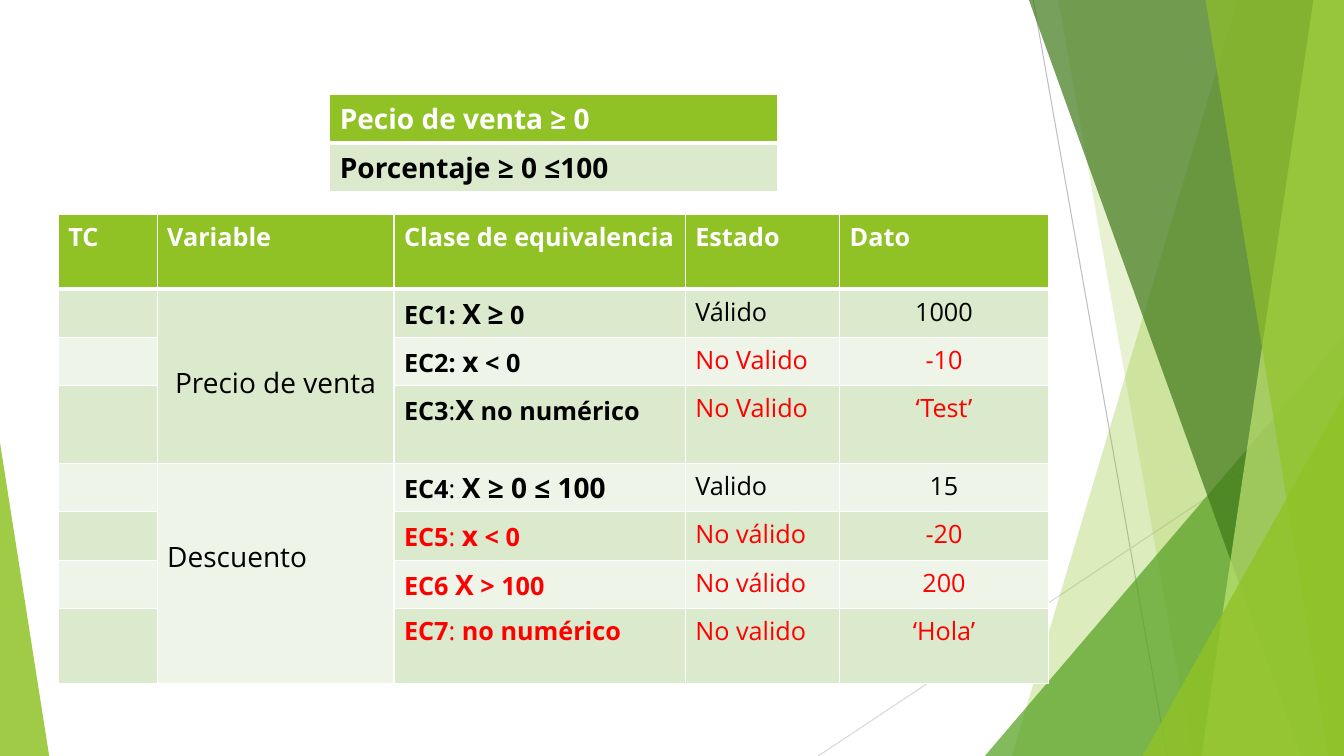
from lxml import etree
from pptx import Presentation
from pptx.dml.color import RGBColor
from pptx.enum import shapes, text
from pptx.oxml import ns
from pptx.util import Cm, Pt

WIDTH, HEIGHT = 33.87, 19.05
FONT = "Open Sans"
WHITE = RGBColor(0xFF, 0xFF, 0xFF)
BLACK = RGBColor(0x00, 0x00, 0x00)
RED = RGBColor(0xFF, 0x00, 0x00)
LIME = RGBColor(0x90, 0xC2, 0x26)
GREEN = RGBColor(0x54, 0xA0, 0x21)
DARK_GREEN = RGBColor(0x3F, 0x78, 0x19)
PALE_LIME = RGBColor(0xC0, 0xE4, 0x74)
BAND_DARK = RGBColor(0xDB, 0xE9, 0xCD)
BAND_LIGHT = RGBColor(0xEE, 0xF4, 0xE8)
GREY = RGBColor(0xBF, 0xBF, 0xBF)
LIGHT_GREY = RGBColor(0xD9, 0xD9, 0xD9)

HEADERS = ["TC", "Variable", "Clase de equivalencia", "Estado", "Dato"]
COLUMNS = [2.49, 5.97, 7.34, 3.89, 5.26]
ROWS = [1.88, 1.21, 1.21, 1.96, 1.21, 1.21, 1.21, 1.9]
CASES = [
    ([("EC1: ", 18, True), ("X", 20, True), (" ", 18, False), ("≥", 20, True), (" 0", 18, True)],
     BLACK, "Válido", BLACK, "1000"),
    ([("EC2: ", 18, True), ("x", 20, True), (" ", 18, False), ("< 0", 18, True)],
     BLACK, "No Valido", RED, "-10"),
    ([("EC3", 18, True), (":", 18, False), ("X", 20, True), (" ", 18, False),
      ("no numérico", 18, True)], BLACK, "No Valido", RED, "‘Test’"),
    ([("EC4", 18, True), (": ", 18, False), ("X ≥ 0 ≤ 100", 20, True)],
     BLACK, "Valido", BLACK, "15"),
    ([("EC5", 18, True), (": ", 18, False), ("x", 20, True), (" ", 18, False),
      ("< 0", 18, True)], RED, "No válido", RED, "-20"),
    ([("EC6 ", 18, True), ("X", 20, True), (" ", 18, False), ("> 100", 18, True)],
     RED, "No válido", RED, "200"),
    ([("EC7", 18, True), (": ", 18, False), ("no numérico", 18, True)],
     RED, "No valido", RED, "‘Hola’"),
]
VARIABLES = [
    ("Precio de venta", 1, 3, text.PP_ALIGN.CENTER),
    ("Descuento", 4, 7, text.PP_ALIGN.LEFT),
]


def paint(shape, color, opacity):
    shape.shadow.inherit = False
    shape.line.fill.background()
    shape.fill.solid()
    shape.fill.fore_color.rgb = color
    tint = shape.fill._xPr.find(ns.qn("a:solidFill"))[0]
    etree.SubElement(tint, ns.qn("a:alpha")).set("val", str(opacity * 1000))


def add_band(page, top_x, bottom_x, color, opacity):
    builder = page.shapes.build_freeform(Cm(top_x), 0)
    corners = [(WIDTH, 0), (WIDTH, HEIGHT), (bottom_x, HEIGHT)]
    builder.add_line_segments([(Cm(x), Cm(y)) for x, y in corners], close=True)
    paint(builder.convert_to_shape(), color, opacity)


def add_triangle(page, left, top, width, apex, color, opacity):
    triangle = page.shapes.add_shape(shapes.MSO_SHAPE.ISOSCELES_TRIANGLE, Cm(left), Cm(top),
                                     Cm(width), Cm(HEIGHT - top))
    triangle.adjustments[0] = apex
    paint(triangle, color, opacity)


def add_line(page, x1, y1, x2, y2, color):
    line = page.shapes.add_connector(shapes.MSO_CONNECTOR.STRAIGHT,
                                     Cm(x1), Cm(y1), Cm(x2), Cm(y2))
    line.line.color.rgb = color
    line.line.width = Pt(0.75)
    etree.SubElement(line._element.spPr, ns.qn("a:effectLst"))


def style_cell(cell, color, bottom=1):
    cell.fill.solid()
    cell.fill.fore_color.rgb = color
    properties = cell._tc.get_or_add_tcPr()
    for index, side in enumerate(["lnL", "lnR", "lnT", "lnB"]):
        border = etree.Element(ns.qn("a:" + side))
        border.set("w", str(Pt(bottom if side == "lnB" else 1)))
        fill = etree.SubElement(border, ns.qn("a:solidFill"))
        etree.SubElement(fill, ns.qn("a:srgbClr")).set("val", str(WHITE))
        properties.insert(index, border)


def write_cell(cell, spans, color, align=text.PP_ALIGN.LEFT):
    para = cell.text_frame.paragraphs[0]
    para.alignment = align
    for words, size, bold in spans:
        span = para.add_run()
        span.text = words
        span.font.name = FONT
        span.font.size = Pt(size)
        span.font.bold = bold
        span.font.color.rgb = color


def add_grid(page, left, top, columns, rows):
    frame = page.shapes.add_table(len(rows), len(columns), Cm(left), Cm(top),
                                  Cm(sum(columns)), Cm(sum(rows)))
    table = frame.table
    for column, width in zip(table.columns, columns):
        column.width = Cm(width)
    for number, (row, height) in enumerate(zip(table.rows, rows)):
        row.height = Cm(height)
        band = BAND_DARK if number % 2 else BAND_LIGHT
        for cell in row.cells:
            style_cell(cell, band if number else LIME, 1 if number else 3)
    return table


def add_scenery(page):
    add_line(page, 26.04, 0, 29.41, HEIGHT, GREY)
    add_line(page, WIDTH, 10.24, 20.62, HEIGHT, LIGHT_GREY)
    add_band(page, 31.19, 25.5, LIME, 30)
    add_band(page, 26.67, 30.05, LIME, 20)
    add_triangle(page, 24.82, 8.46, 9.05, 1, GREEN, 72)
    add_band(page, 25.93, 32.79, DARK_GREEN, 70)
    add_band(page, 33.1, 30.28, PALE_LIME, 70)
    add_band(page, 30.38, 33.48, LIME, 65)
    add_triangle(page, 28.8, 9.98, 5.07, 1, LIME, 80)
    add_triangle(page, 0, 11.15, 1.24, 0, LIME, 85)


def add_cases(page):
    table = add_grid(page, 1.47, 5.41, COLUMNS, ROWS)
    for column, header in enumerate(HEADERS):
        write_cell(table.cell(0, column), [(header, 18, True)], WHITE)
    for row, (rule, rule_color, state, state_color, value) in enumerate(CASES, 1):
        write_cell(table.cell(row, 2), rule, rule_color)
        write_cell(table.cell(row, 3), [(state, 18, False)], state_color)
        write_cell(table.cell(row, 4), [(value, 18, False)], state_color, text.PP_ALIGN.CENTER)
    for variable, first, last, align in VARIABLES:
        cell = table.cell(first, 1)
        cell.merge(table.cell(last, 1))
        cell.margin_top = Cm(1.86)
        write_cell(cell, [(variable, 20, False)], BLACK, align)


def add_conditions(page):
    table = add_grid(page, 8.31, 2.39, [11.28], [1.21, 1.21])
    write_cell(table.cell(0, 0), [("Pecio de venta ≥ 0", 20, True)], WHITE)
    write_cell(table.cell(1, 0), [("Porcentaje ≥ 0 ≤100", 20, True)], BLACK)


def main():
    deck = Presentation()
    deck.slide_width, deck.slide_height = Cm(WIDTH), Cm(HEIGHT)
    page = deck.slides.add_slide(deck.slide_layouts[6])
    add_scenery(page)
    add_cases(page)
    add_conditions(page)
    deck.save("out.pptx")


main()
